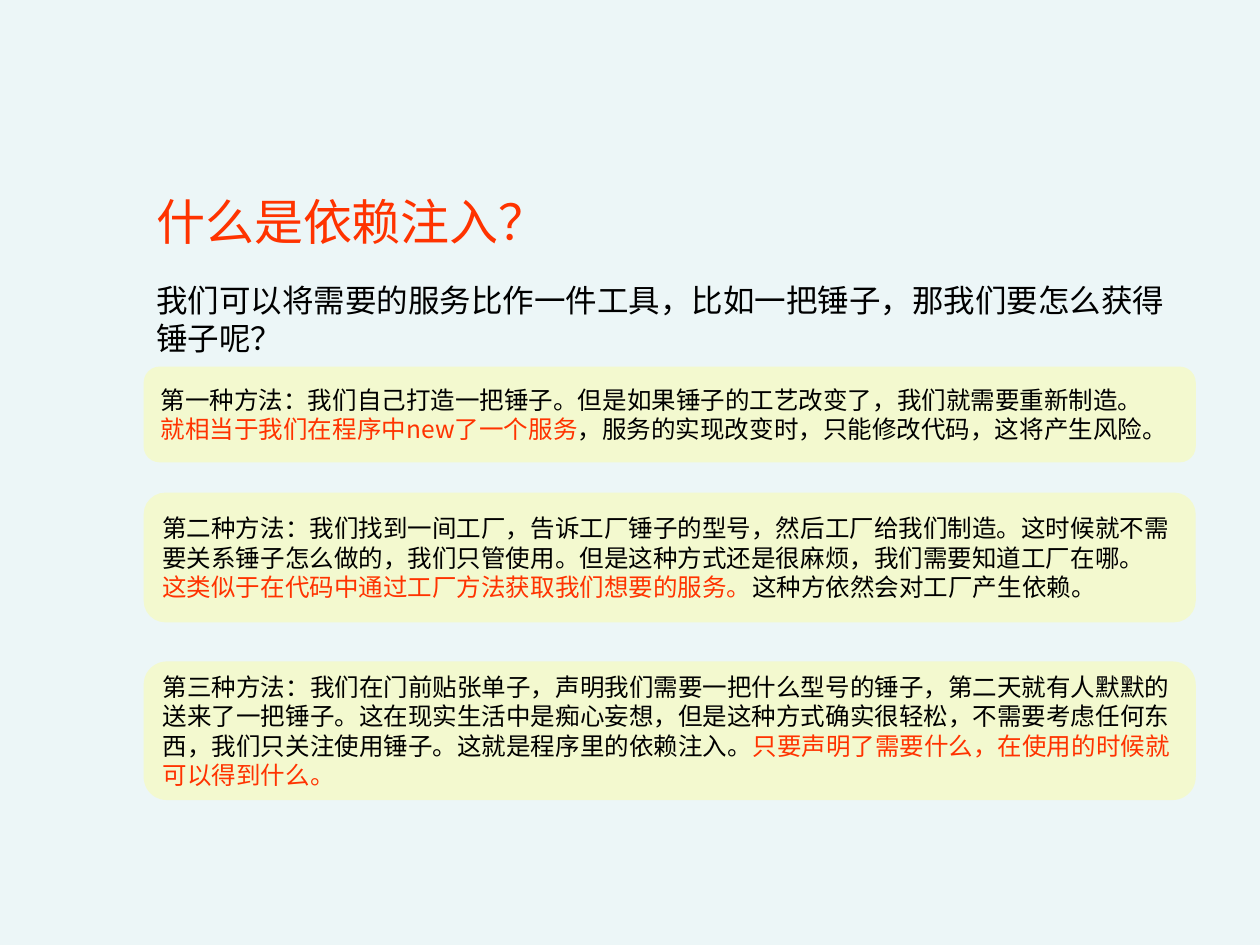
from dataclasses import dataclass

from lxml import etree
from pptx import Presentation
from pptx.dml.color import RGBColor
from pptx.enum.shapes import MSO_SHAPE
from pptx.enum.text import MSO_ANCHOR, MSO_AUTO_SIZE, PP_ALIGN
from pptx.oxml.ns import qn
from pptx.util import Inches, Pt

ROUNDED = MSO_SHAPE.ROUNDED_RECTANGLE
TOP, MIDDLE = MSO_ANCHOR.TOP, MSO_ANCHOR.MIDDLE
LEFT_ALIGN = PP_ALIGN.LEFT
NO_AUTOFIT = MSO_AUTO_SIZE.NONE

CJK_FONT = "Noto Sans CJK SC"
BLACK, RED = "000000", "FF3300"
BACKGROUND, PANEL = "ECF6F7", "FFFF99"
PANEL_OPACITY = 42
LEFT, WIDTH = 1.14, 8.35


@dataclass
class Run:
    text: str
    color: str = BLACK


@dataclass
class Method:
    top: float
    height: float
    lines: list[list[Run]]


METHODS = [
    Method(2.91, 0.76, [
        [Run("第一种方法：我们自己打造一把锤子。但是如果锤子的工艺改变了，我们就需要重新制造。")],
        [Run("就相当于我们在程序中new了一个服务", RED),
         Run("，服务的实现改变时，只能修改代码，这将产生风险。")],
    ]),
    Method(3.91, 1.03, [
        [Run("第二种方法：我们找到一间工厂，告诉工厂锤子的型号，然后工厂给我们制造。这时候就不需")],
        [Run("要关系锤子怎么做的，我们只管使用。但是这种方式还是很麻烦，我们需要知道工厂在哪。")],
        [Run("这类似于在代码中通过工厂方法获取我们想要的服务。", RED),
         Run("这种方依然会对工厂产生依赖。")],
    ]),
    Method(5.25, 1.1, [
        [Run("第三种方法：我们在门前贴张单子，声明我们需要一把什么型号的锤子，第二天就有人默默的")],
        [Run("送来了一把锤子。这在现实生活中是痴心妄想，但是这种方式确实很轻松，不需要考虑任何东")],
        [Run("西，我们只关注使用锤子。这就是程序里的依赖注入。"),
         Run("只要声明了需要什么，在使用的时候就", RED)],
        [Run("可以得到什么。", RED)],
    ]),
]


def set_fill(fill, color: str) -> None:
    fill.solid()
    fill.fore_color.rgb = RGBColor.from_string(color)


def write_lines(shape, lines: list[list[Run]], size: int, font_name: str,
                anchor, wrap: bool) -> None:
    frame = shape.text_frame
    frame.auto_size = NO_AUTOFIT
    frame.word_wrap = wrap
    frame.vertical_anchor = anchor
    for index, line in enumerate(lines):
        paragraph = frame.add_paragraph() if index else frame.paragraphs[0]
        paragraph.alignment = LEFT_ALIGN
        paragraph.space_before = Pt(0)
        for part in line:
            run = paragraph.add_run()
            run.text = part.text
            run.font.size = Pt(size)
            set_fill(run.font.fill, part.color)
            run.font.name = font_name
            east_asian = etree.SubElement(run.font._element, qn("a:ea"))
            east_asian.set("typeface", CJK_FONT)


def place(shape, top: float, width: float, height: float) -> None:
    shape.left, shape.top = Inches(LEFT), Inches(top)
    shape.width, shape.height = Inches(width), Inches(height)


def remove_bullet(paragraph) -> None:
    properties = paragraph._p.get_or_add_pPr()
    properties.set("marL", "0")
    properties.set("indent", "0")
    etree.SubElement(properties, qn("a:buNone"))


def add_method(slide, method: Method) -> None:
    panel = slide.shapes.add_shape(ROUNDED, Inches(LEFT), Inches(method.top),
                                   Inches(WIDTH), Inches(method.height))
    panel.shadow.inherit = False
    panel.line.fill.background()
    set_fill(panel.fill, PANEL)
    color = panel._element.spPr.find(qn("a:solidFill"))[0]
    etree.SubElement(color, qn("a:alpha")).set("val", str(PANEL_OPACITY * 1000))
    write_lines(panel, method.lines, 14, CJK_FONT, MIDDLE, wrap=False)


def main() -> None:
    presentation = Presentation()
    presentation.slide_width, presentation.slide_height = Inches(10), Inches(7.5)
    slide = presentation.slides.add_slide(presentation.slide_layouts[1])
    set_fill(slide.background.fill, BACKGROUND)

    title, body = slide.placeholders
    place(title, 1.47, 7.01, 0.57)
    write_lines(title, [[Run("什么是依赖注入？", RED)]], 28, CJK_FONT, TOP, wrap=True)

    place(body, 2.18, WIDTH, 0.7)
    remove_bullet(body.text_frame.paragraphs[0])
    question = Run("我们可以将需要的服务比作一件工具，比如一把锤子，那我们要怎么获得锤子呢？")
    write_lines(body, [[question]], 18, "Arial", TOP, wrap=True)

    for method in METHODS:
        add_method(slide, method)
    presentation.save("out.pptx")


if __name__ == "__main__":
    main()
